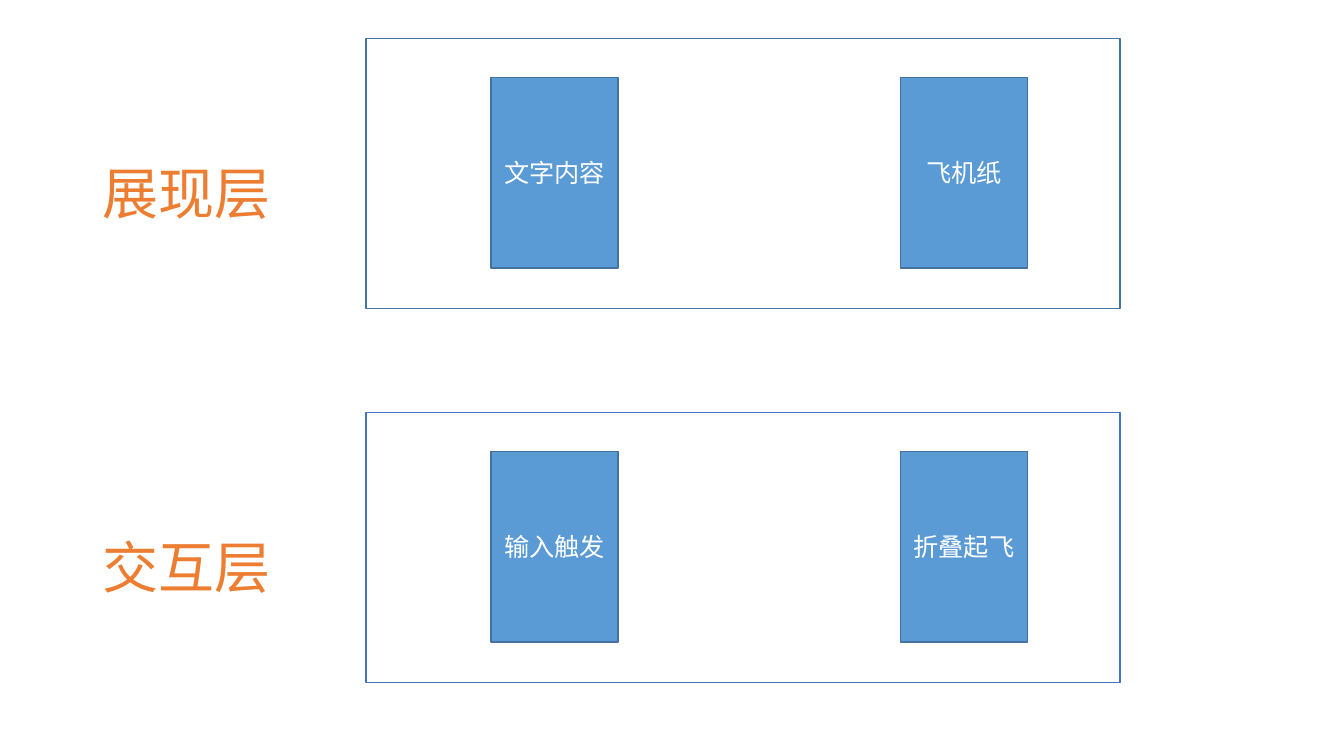
from pptx import Presentation
from pptx.dml.color import RGBColor
from pptx.enum.shapes import MSO_SHAPE as Shape
from pptx.enum.text import MSO_ANCHOR as Anchor, MSO_AUTO_SIZE as AutoSize, PP_ALIGN as Align
from pptx.util import Inches, Pt

ROW_TOP, ROW_STEP = 0.38, 3.71
LABEL_LEFT, PANEL_LEFT = 0.92, 3.63
PANEL_SIZE = (7.48, 2.68)
LABEL_SIZE, LABEL_DROP = (1.87, 0.77), 1.14
CARD_SIZE, CARD_DROP = (1.26, 1.89), 0.39
CARD_LEFT, CARD_STEP = 4.87, 4.06

ORANGE, BLUE, EDGE, WHITE = "ED7D31", "5B9BD5", "43739E", "FFFFFF"
LAYERS = [
    ("展现层", EDGE, ["文字内容", "飞机纸"]),
    ("交互层", "4472C4", ["输入触发", "折叠起飞"]),
]


def color(value):
    return RGBColor.from_string(value)


def apply(target, values):
    for name, value in values.items():
        setattr(target, name, value)


def write(shape, text, size, text_color, frame_format, align):
    frame = shape.text_frame
    apply(frame, frame_format)
    paragraph = frame.paragraphs[0]
    paragraph.alignment = align
    run = paragraph.add_run()
    run.text = text
    apply(run.font, {"name": "Calibri", "size": Pt(size)})
    run.font.color.rgb = color(text_color)


def add_box(slide, left, top, size, line, fill=None):
    box = slide.shapes.add_shape(Shape.RECTANGLE, *map(Inches, (left, top, *size)))
    box.shadow.inherit = False
    box.line.color.rgb = color(line)
    box.line.width = Pt(1)
    if fill:
        box.fill.solid()
        box.fill.fore_color.rgb = color(fill)
    else:
        box.fill.background()
    return box


def add_label(slide, top, text):
    label = slide.shapes.add_textbox(*map(Inches, (LABEL_LEFT, top, *LABEL_SIZE)))
    frame_format = {"word_wrap": False, "auto_size": AutoSize.SHAPE_TO_FIT_TEXT}
    write(label, text, 40, ORANGE, frame_format, Align.LEFT)


def add_card(slide, left, top, text):
    card = add_box(slide, left, top, CARD_SIZE, EDGE, BLUE)
    frame_format = {"word_wrap": True, "vertical_anchor": Anchor.MIDDLE}
    write(card, text, 18, WHITE, frame_format, Align.CENTER)


def add_layer(slide, row, name, edge, cards):
    top = ROW_TOP + row * ROW_STEP
    add_box(slide, PANEL_LEFT, top, PANEL_SIZE, edge)
    add_label(slide, top + LABEL_DROP, name)
    for column, text in enumerate(cards):
        add_card(slide, CARD_LEFT + column * CARD_STEP, top + CARD_DROP, text)


def main():
    presentation = Presentation()
    apply(presentation, {"slide_width": Inches(13.33), "slide_height": Inches(7.5)})
    slide = presentation.slides.add_slide(presentation.slide_layouts[6])
    for row, layer in enumerate(LAYERS):
        add_layer(slide, row, *layer)
    presentation.save("out.pptx")


if __name__ == "__main__":
    main()
